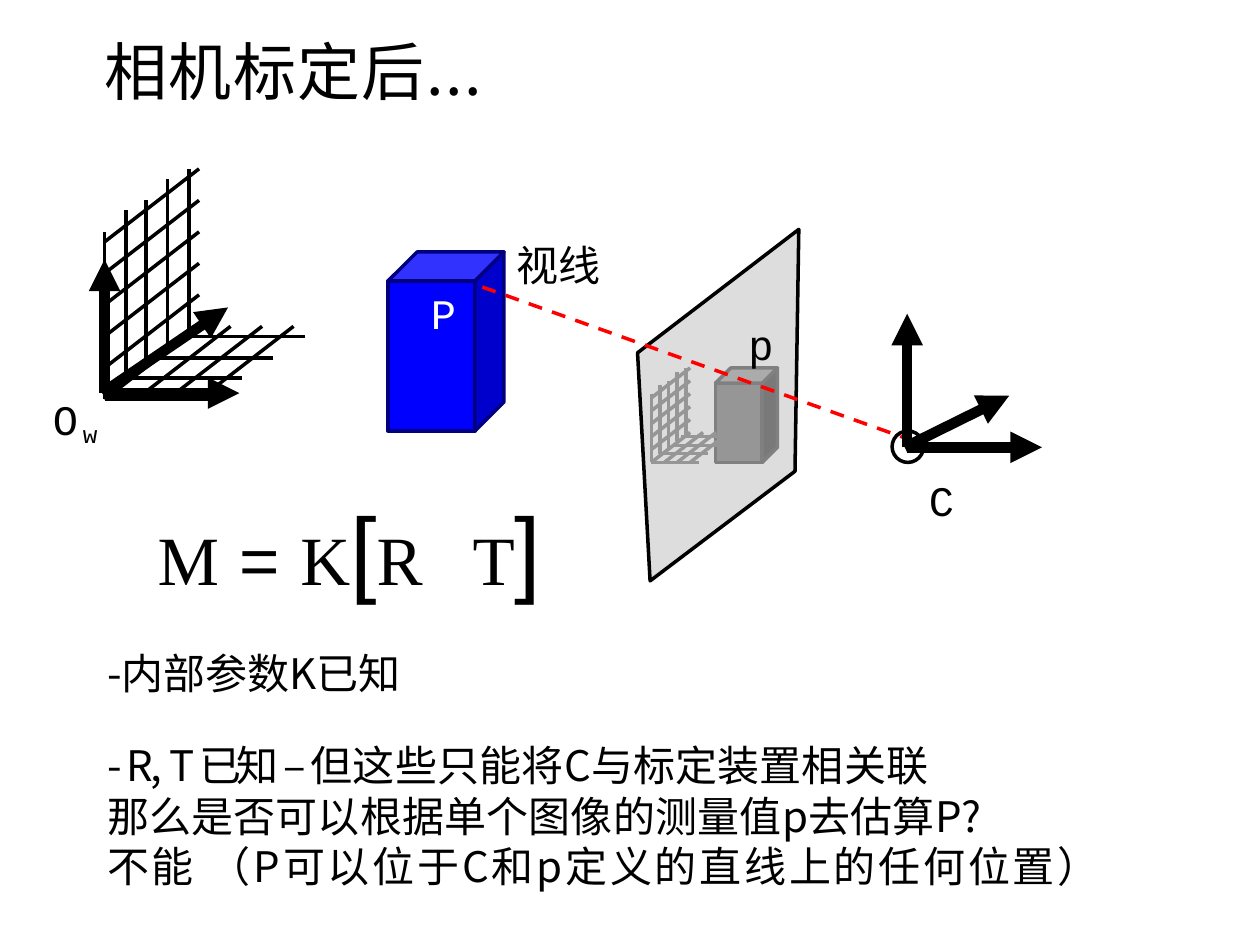
import pptx
import pptx.util
import pptx.dml.color
import pptx.enum.dml
import pptx.enum.shapes
import pptx.enum.text
import pptx.oxml
import pptx.oxml.ns
import lxml.etree

Inches = pptx.util.Inches
Pt = pptx.util.Pt
qn = pptx.oxml.ns.qn
RGB = pptx.dml.color.RGBColor.from_string
SANS, MONO, SERIF, ARIAL = "Noto Sans CJK SC", "Courier New", "Times New Roman", "Arial"

hues = {
    "black": "000000", "white": "FFFFFF", "red": "FF0000",
    "pane": "C0C0C0", "mesh": "969696",
    "front": "0000FF", "side": "0000CD", "top": "3232FF", "edge": "000080",
    "dim front": "969696", "dim side": "797979", "dim top": "ABABAB", "dim edge": "808080",
}

deck = pptx.Presentation()
deck.slide_width, deck.slide_height = Inches(10), Inches(7.5)
slide = deck.slides.add_slide(deck.slide_layouts[1])
shapes = slide.shapes


def write(para, text, font=SANS, size=24, hue="black", track=0, base=0):
    run = para.add_run()
    run.text = text
    run.font.name = font
    run.font.size = Pt(size)
    run.font.color.rgb = RGB(hues[hue])
    props = run.font._element
    props.set("spc", str(round(track * 100)))
    if base:
        props.set("baseline", str(base * 1000))
    lxml.etree.SubElement(props, qn("a:ea"), typeface=font)


def trace(points, line="black", width=2, fill=None):
    spots = [(Inches(x), Inches(y)) for x, y in points]
    if fill is None:
        shape = shapes.add_connector(
            pptx.enum.shapes.MSO_CONNECTOR.STRAIGHT, *spots[0], *spots[1])
    else:
        path = shapes.build_freeform(*spots[0])
        path.add_line_segments(spots[1:], close=True)
        shape = path.convert_to_shape()
        shape.shadow.inherit = False
        shape.fill.solid()
        shape.fill.fore_color.rgb = RGB(hues[fill])
    shape.line.color.rgb = RGB(hues[line])
    shape.line.width = Pt(width)
    if fill is None:
        lxml.etree.SubElement(shape._element.spPr, qn("a:effectLst"))
    return shape


title, body = shapes.title, slide.placeholders[1]
frames = [(title, 0.83, 0.25, 8.18, 0.62, 0.01), (body, 0.84, 3.75, 8.74, 3.34, 0.14)]

pane = trace([(6.34, 1.82), (5.06, 2.8), (5.16, 4.61), (6.31, 3.74)], fill="pane")
tint = pane.fill._xPr.find(qn("a:solidFill"))[0]
lxml.etree.SubElement(tint, qn("a:alpha"), val="53000")

for x, y, wide, tall, deep, kind in [
    (3.08, 2.23, 0.69, 1.19, 0.23, ""),
    (5.68, 3.04, 0.37, 0.63, 0.12, "dim "),
]:
    right, low = x + wide, y + tall
    faces = {
        "front": [(x, y), (right, y), (right, low), (x, low)],
        "side": [(right, y), (right + deep, y - deep), (right + deep, low - deep), (right, low)],
        "top": [(x, y), (x + deep, y - deep), (right + deep, y - deep), (right, y)],
    }
    for face, points in faces.items():
        trace(points, line=kind + "edge", fill=kind + face)

ray = trace([(7.25, 3.5), (3.75, 2.25)], line="red")
ray.line.dash_style = pptx.enum.dml.MSO_LINE.DASH

eye = shapes.add_shape(
    pptx.enum.shapes.MSO_SHAPE.OVAL, Inches(7.08), Inches(3.42), Inches(0.25), Inches(0.25))
eye.shadow.inherit = False
eye.fill.background()
eye.line.color.rgb = RGB(hues["black"])
eye.line.width = Pt(2)

rows = [((x, y), (x, y + 1.33)) for x, y in
        [(0, -1.33), (0.17, -1.5), (0.33, -1.58), (0.5, -1.75), (0.67, -1.83)]]
rows += [((0.75, -1.83 + 0.25 * i), (0, -1.25 + 0.25 * i)) for i in range(6)]
rows += [((1 + 0.25 * i, -0.58), (0.25 + 0.25 * i, 0)) for i in range(3)]
rows += [((x + 0.92, y), (x, y)) for x, y in
         [(0, 0), (0.17, -0.17), (0.42, -0.33), (0.58, -0.5), (0.67, -0.5)]]
for left, base, scale, hue in [(0.83, 3.17, 1, "black"), (5.17, 3.67, 0.41, "mesh")]:
    for ends in rows:
        trace([(left + x * scale, base + y * scale) for x, y in ends], line=hue)

for start, end in [
    ((7.2, 3.55), (7.2, 2.49)), ((7.18, 3.55), (8.01, 3.14)), ((7.2, 3.55), (8.27, 3.55)),
    ((0.83, 3.12), (0.83, 2.06)), ((0.81, 3.12), (1.81, 2.44)), ((0.83, 3.12), (1.9, 3.12)),
]:
    arrow = trace([start, end], width=6)
    lxml.etree.SubElement(arrow.line._ln, qn("a:tailEnd"), type="triangle")

labels = [
    (0.42, 3.11, 0.5, 0.43, 0.01, "O", MONO, "black", 2.8),
    (3.42, 2.27, 0.21, 0.43, 0.01, "P", MONO, "white", -3),
    (5.94, 2.52, 0.23, 0.43, 0.01, "p", MONO, "black", 1),
    (4.1, 2.05, 0.96, 0.26, 0.02, "视线", SANS, "black", 0),
    (6.99, 3.72, 0.68, 0.5, 0.05, "C", MONO, "black", -0.6),
]
for *place, inset, text, font, hue, track in labels:
    box = shapes.add_textbox(*map(Inches, place))
    para = box.text_frame.paragraphs[0]
    write(para, text, font=font, hue=hue, track=track)
    if text == "O":
        write(para, "w", font=MONO, track=1.1, base=-19)
    if text == "视线":
        para.line_spacing = Pt(16.7)
    if text == "C":
        para.alignment = pptx.enum.text.PP_ALIGN.RIGHT
    frames.append((box, *place, inset))

for box, left, top, wide, tall, inset in frames:
    box.left, box.top, box.width, box.height = map(Inches, (left, top, wide, tall))
    frame = box.text_frame
    frame.word_wrap = True
    frame.auto_size = pptx.enum.text.MSO_AUTO_SIZE.NONE
    frame.vertical_anchor = pptx.enum.text.MSO_ANCHOR.TOP
    frame.margin_left = frame.margin_bottom = 0
    frame.margin_right = Inches(0.1 if inset == 0.05 else 0)
    frame.margin_top = Inches(inset)

head = title.text_frame.paragraphs[0]
head.alignment = pptx.enum.text.PP_ALIGN.LEFT
write(head, "相机标定后", size=36, track=0.8)
write(head, "...", size=36, track=1)

big = 39.5
lines = [
    (0, [("M ", SERIF, big, 0.8), ("= ", ARIAL, big, 0.5), ("K", SERIF, big, -2.5),
         ("[", ARIAL, 54.5, -2.5), ("R\t", SERIF, big, -2.5), ("T", SERIF, big, -2.2),
         ("]", ARIAL, 54.5, -2.2)]),
    (24.2, [("-内部参数K已知", SANS, 24, 0)]),
    (24.2, [("- R, ", SANS, 24, -1.4), ("T 已知 ", SANS, 24, -2.6), ("–", SANS, 24, 2.8),
            ("但这些只能将C与标定装置相关联", SANS, 24, 0.1)]),
    (0, [("那么是否可以根据单个图像的测量值p去估算P", SANS, 24, 0.1), ("?", SANS, 24, 0)]),
    (0, [("不能 （P可以位于C和p定义的直线上的任何位置）", SANS, 24, 1.6)]),
]
for i, (before, runs) in enumerate(lines):
    para = body.text_frame.paragraphs[0] if i == 0 else body.text_frame.add_paragraph()
    props = para._p.get_or_add_pPr()
    props.set("marL", str(Inches(0.01 if i else 0.41)))
    props.set("indent", "0")
    lxml.etree.SubElement(props, qn("a:buNone"))
    if i == 0:
        tabs = lxml.etree.SubElement(props, qn("a:tabLst"))
        lxml.etree.SubElement(tabs, qn("a:tab"), pos=str(Inches(2.83)), algn="l")
    para.space_before = Pt(before)
    for text, font, size, track in runs:
        write(para, text, font=font, size=size, track=track)

deck.save("out.pptx")
